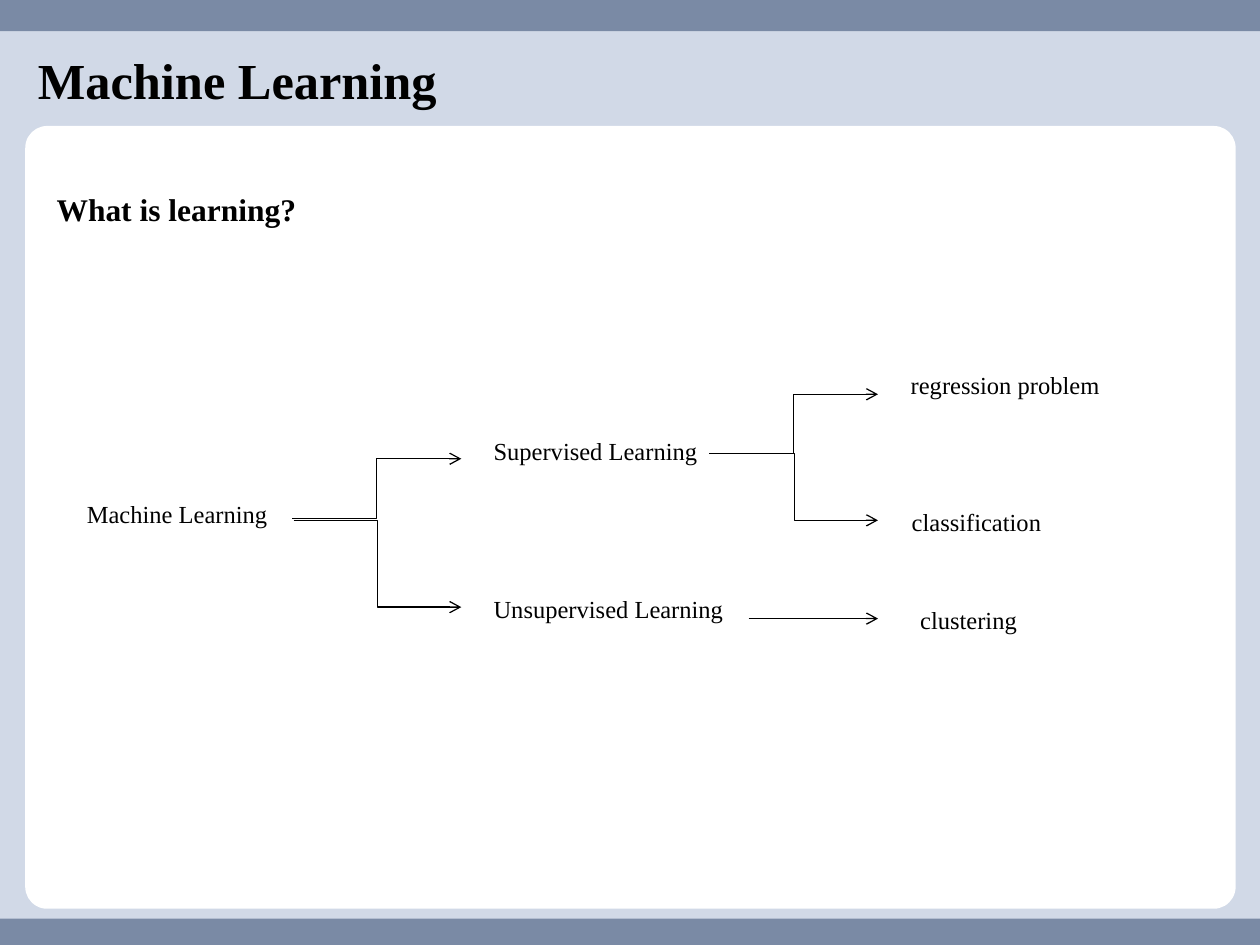
from dataclasses import dataclass

import lxml.etree
import pptx
import pptx.dml.color
import pptx.enum.shapes
import pptx.enum.text
import pptx.oxml.ns
import pptx.util

Cm = pptx.util.Cm
Pt = pptx.util.Pt
qn = pptx.oxml.ns.qn
Preset = pptx.enum.shapes.MSO_SHAPE
Route = pptx.enum.shapes.MSO_CONNECTOR
Anchor = pptx.enum.text.MSO_ANCHOR


@dataclass(frozen=True)
class Theme:
    font: str = "Times New Roman"
    ink: str = "000000"
    tint: str = "395D9A"
    band: str = "253D65"
    card: str = "FFFFFF"
    title_size: float = 28.8
    heading_size: float = 18
    label_size: float = 14
    line_width: float = 0.75


@dataclass(frozen=True)
class Panel:
    left: float
    top: float
    width: float
    height: float
    color: str
    opacity: int = 100
    corner: float = 0


@dataclass(frozen=True)
class Label:
    text: str
    left: float
    top: float
    width: float
    height: float = 0.86


@dataclass(frozen=True)
class Arrow:
    start: tuple[float, float]
    end: tuple[float, float]


THEME = Theme()
PAGE_WIDTH, PAGE_HEIGHT = 25.4, 19.05
BAND_HEIGHT = 0.63
MARGIN = 0.51
CARD_WIDTH = 24.4

PANELS = [
    Panel(0, 0, PAGE_WIDTH, PAGE_HEIGHT, THEME.tint, 23),
    Panel(0, 0, PAGE_WIDTH, BAND_HEIGHT, THEME.band, 50),
    Panel(0, 18.52, PAGE_WIDTH, PAGE_HEIGHT - 18.52, THEME.band, 50),
    Panel(MARGIN, 2.54, CARD_WIDTH, 15.78, THEME.card, corner=0.028),
]

HEADING = Label("What is learning?", 0.89, 3.33, 24, 2.21)

LABELS = [
    Label("Machine Learning", 1.5, 9.93, 21),
    Label("Supervised Learning", 9.7, 8.66, 8.4),
    Label("Unsupervised Learning", 9.7, 11.86, 8.4),
    Label("regression problem", 18.11, 7.34, 7.2),
    Label("classification", 18.13, 10.1, 7.2),
    Label("clustering", 18.3, 12.07, 7.1),
]

ARROWS = [
    Arrow((5.89, 10.46), (9.3, 9.25)),
    Arrow((5.92, 10.49), (9.3, 12.24)),
    Arrow((14.3, 9.14), (17.7, 7.95)),
    Arrow((14.33, 9.14), (17.7, 10.49)),
    Arrow((15.09, 12.47), (17.7, 12.47)),
]


def rgb(color: str) -> pptx.dml.color.RGBColor:
    return pptx.dml.color.RGBColor.from_string(color)


def draw_panel(page, panel: Panel) -> None:
    preset = Preset.ROUNDED_RECTANGLE if panel.corner else Preset.RECTANGLE
    shape = page.shapes.add_shape(
        preset, Cm(panel.left), Cm(panel.top), Cm(panel.width), Cm(panel.height)
    )
    shape.shadow.inherit = False
    shape.line.fill.background()
    shape.fill.solid()
    shape.fill.fore_color.rgb = rgb(panel.color)
    if panel.corner:
        shape.adjustments[0] = panel.corner
    if panel.opacity < 100:
        color = shape.element.spPr.find(qn("a:solidFill")).find(qn("a:srgbClr"))
        lxml.etree.SubElement(color, qn("a:alpha"), val=str(panel.opacity * 1000))


def write_text(box, text: str, size: float, bold: bool = False) -> None:
    box.text_frame.text = text
    box.text_frame.word_wrap = True
    for para in box.text_frame.paragraphs:
        para.alignment = pptx.enum.text.PP_ALIGN.LEFT
        for span in para.runs:
            span.font.name = THEME.font
            span.font.size = Pt(size)
            span.font.bold = bold
            span.font.color.rgb = rgb(THEME.ink)


def draw_title(page, text: str) -> None:
    title = page.shapes.title
    title.left, title.top = Cm(MARGIN), Cm(0.74)
    title.width, title.height = Cm(CARD_WIDTH), Cm(1.6)
    write_text(title, text, THEME.title_size, bold=True)
    title.text_frame.vertical_anchor = Anchor.BOTTOM
    title.text_frame.auto_size = pptx.enum.text.MSO_AUTO_SIZE.NONE
    page.shapes.element.append(title.element)


def draw_label(page, label: Label, size: float, bold: bool = False):
    box = page.shapes.add_textbox(
        Cm(label.left), Cm(label.top), Cm(label.width), Cm(label.height)
    )
    write_text(box, label.text, size, bold)
    return box


def draw_arrow(page, arrow: Arrow) -> None:
    straight = arrow.start[1] == arrow.end[1]
    connector = page.shapes.add_connector(
        Route.STRAIGHT if straight else Route.ELBOW,
        *(Cm(value) for value in arrow.start + arrow.end),
    )
    connector.line.color.rgb = rgb(THEME.ink)
    connector.line.width = Pt(THEME.line_width)
    lxml.etree.SubElement(connector.line._get_or_add_ln(), qn("a:tailEnd"), type="arrow")
    lxml.etree.SubElement(connector.element.spPr, qn("a:effectLst"))


def main() -> None:
    deck = pptx.Presentation()
    deck.slide_width, deck.slide_height = Cm(PAGE_WIDTH), Cm(PAGE_HEIGHT)
    page = deck.slides.add_slide(deck.slide_layouts[5])
    for panel in PANELS:
        draw_panel(page, panel)
    draw_title(page, "Machine Learning")
    heading = draw_label(page, HEADING, THEME.heading_size, bold=True)
    heading.text_frame.paragraphs[0].line_spacing = 1.5
    for label in LABELS:
        draw_label(page, label, THEME.label_size)
    for arrow in ARROWS:
        draw_arrow(page, arrow)
    deck.save("out.pptx")


main()
